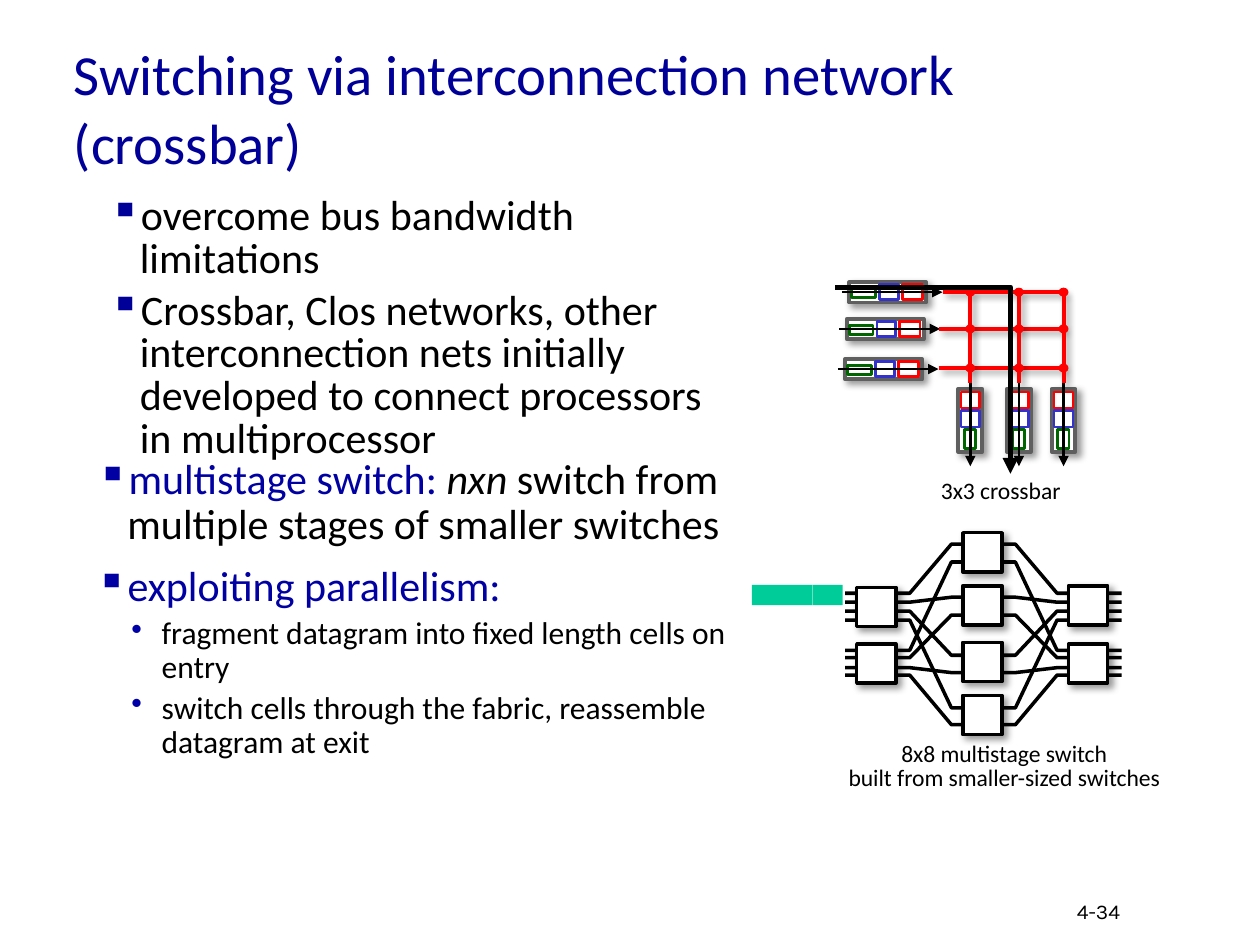
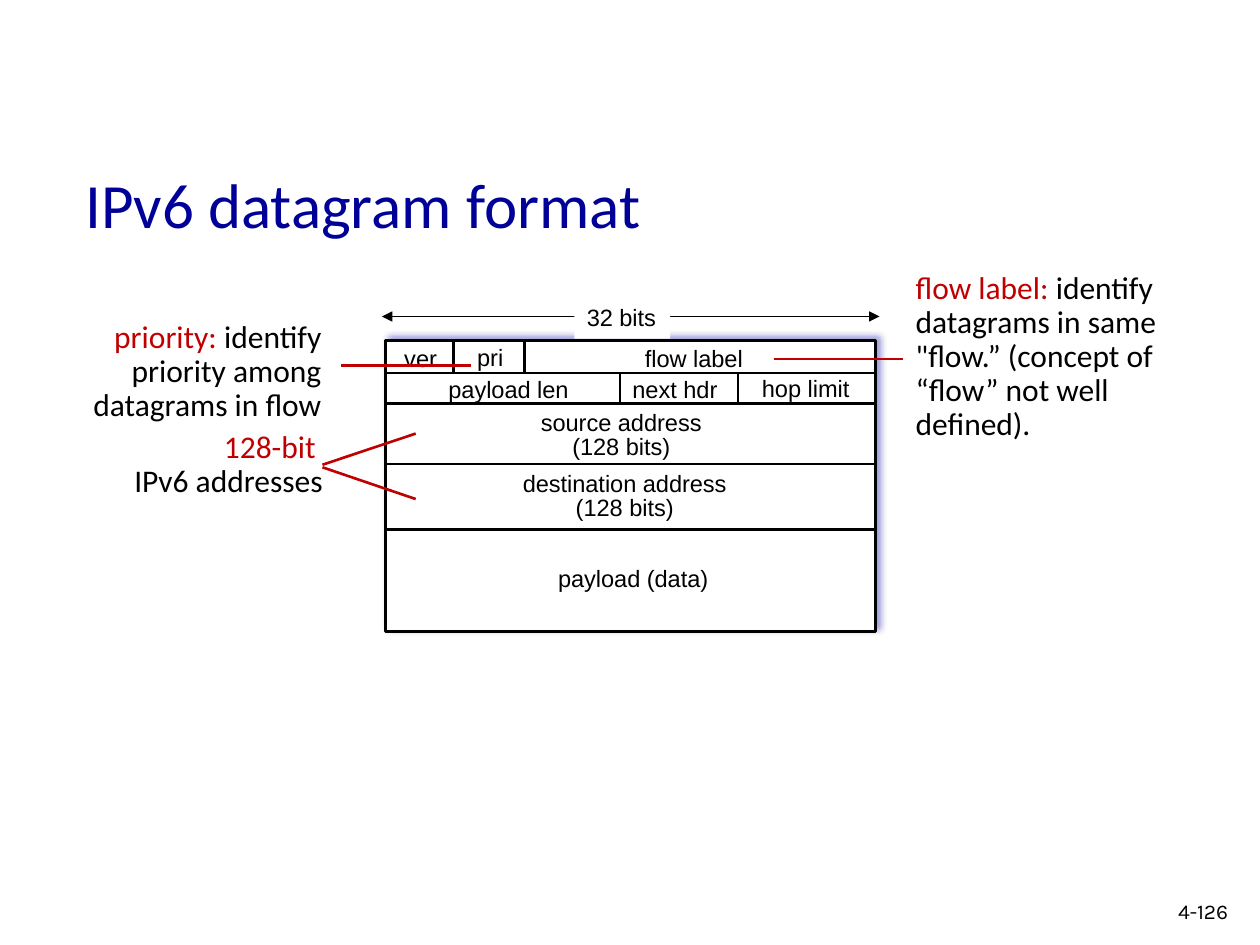
from dataclasses import dataclass

from lxml.etree import SubElement
from pptx import Presentation
from pptx.dml.color import RGBColor as Color
from pptx.enum.shapes import MSO_CONNECTOR as Connector, MSO_SHAPE as Preset
from pptx.enum.text import MSO_ANCHOR as Anchor, PP_ALIGN as Align
from pptx.oxml.ns import qn
from pptx.util import Cm, Pt


@dataclass(frozen=True)
class Theme:
    title: str = "000099"
    accent: str = "0000A3"
    sub_bullet: str = "0000A8"
    ink: str = "000000"
    paper: str = "FFFFFF"
    note: str = "C00000"
    queue: str = "5F5F5F"
    green: str = "006600"
    blue: str = "3333CC"
    red: str = "FF0000"
    cell: str = "00CC99"
    sans: str = "Calibri"
    label_face: str = "Arial"
    number_face: str = "Karla"
    long_title_size: float = 32.4
    title_size: float = 36
    body_size: float = 24
    note_size: float = 18
    label_size: float = 13.5
    number_size: float = 12


theme = Theme()


def write(slide, box, paragraphs, size, name=theme.sans, color=theme.ink,
          layout=None, bullet=None, wrap=True, **frame_format):
    shape = slide.shapes.add_textbox(*[Cm(value) for value in box])
    frame = shape.text_frame
    for key, value in {"word_wrap": wrap, **frame_format}.items():
        setattr(frame, key, value)
    for index, runs in enumerate(paragraphs):
        paragraph = frame.paragraphs[0] if index == 0 else frame.add_paragraph()
        mark = bullet[min(index, len(bullet) - 1)] if bullet else None
        if mark:
            character, mark_color, margin, level = mark
            paragraph.level = level
            properties = paragraph._p.get_or_add_pPr()
            properties.set("marL", str(Cm(margin)))
            properties.set("indent", str(-Cm(0.61)))
            tint = SubElement(properties, qn("a:buClr"))
            SubElement(tint, qn("a:srgbClr"), val=mark_color)
            SubElement(properties, qn("a:buChar"), char=character)
        for key, value in (layout or {}).items():
            if key != "space_before" or index > 0:
                setattr(paragraph, key, value)
        for text, *changes in [(runs,)] if isinstance(runs, str) else runs:
            if text == "\n":
                paragraph.add_line_break()
                continue
            run = paragraph.add_run()
            run.text = text
            font = {"size": size, "name": name, "color": color}
            font.update(changes[0] if changes else {})
            run.font.color.rgb = Color.from_string(font.pop("color"))
            font["size"] = Pt(font["size"])
            for key, value in font.items():
                setattr(run.font, key, value)
    return shape


def draw(slide, kind, geometry, line=None, width=1.5, fill=None, shadow=None, ends=()):
    values = [Cm(value) for value in geometry]
    if kind == "line":
        shape = slide.shapes.add_connector(Connector.STRAIGHT, *values)
    elif kind == "path":
        points = list(zip(values[::2], values[1::2]))
        builder = slide.shapes.build_freeform(*points[0], scale=1.0)
        builder.add_line_segments(points[1:], close=False)
        shape = builder.convert_to_shape()
    else:
        shape = slide.shapes.add_shape(kind, *values)
    if fill:
        shape.fill.solid()
        shape.fill.fore_color.rgb = Color.from_string(fill)
    elif kind != "line":
        shape.fill.background()
    if line:
        shape.line.color.rgb = Color.from_string(line)
        shape.line.width = Pt(width)
    else:
        shape.line.fill.background()
    properties = shape.element.spPr
    for end in ends:
        SubElement(properties.find(qn("a:ln")), qn(f"a:{end}"), type="triangle")
    effects = SubElement(properties, qn("a:effectLst"))
    if shadow:
        shadow_color, degrees = shadow
        outer = SubElement(effects, qn("a:outerShdw"), blurRad=str(Pt(4)),
                           dist=str(Pt(3)), dir=str(degrees * 60000), algn="tl",
                           rotWithShape="0")
        tint = SubElement(outer, qn("a:srgbClr"), val=shadow_color)
        SubElement(tint, qn("a:alpha"), val="40000")
    return shape


presentation = Presentation()
presentation.slide_width, presentation.slide_height = Cm(25.4), Cm(19.05)
blank = presentation.slide_layouts[6]
crossbar, datagram = [presentation.slides.add_slide(blank) for _ in range(2)]

slide_frames = [
    (crossbar, (1.24, 1.24, 21.89, 1.85), theme.long_title_size,
     [("Switching via interconnection network",), ("\n",), ("(crossbar)",)],
     (21.46, 17.98, 1.88, 0.76), "4-34"),
    (datagram, (1.47, 2.97, 21.89, 2.24), theme.title_size, "IPv6 datagram format",
     (23.5, 17.98, 1.9, 1.07), "4-126"),
]
for slide, title_box, title_size, title, number_box, number in slide_frames:
    write(slide, title_box, [title], title_size, color=theme.title,
          vertical_anchor=Anchor.MIDDLE)
    write(slide, number_box, [number], theme.number_size, theme.number_face)

soft = (theme.ink, 45)
tight = {"line_spacing": 0.85, "alignment": Align.CENTER}
accent = {"color": theme.accent}
insets = {"margin_left": Cm(0.18), "margin_right": Cm(0.18),
          "margin_top": Cm(0.1), "margin_bottom": Cm(0.1)}
square = ("▪", theme.accent, 0.74, 0)

write(crossbar, (1.6, 3.84, 13.49, 10.62), [
    "overcome bus bandwidth limitations",
    "Crossbar, Clos networks, other interconnection nets initially developed to "
    "connect processors in multiprocessor",
], theme.body_size, layout={"line_spacing": 0.85, "space_before": Pt(4.8)},
    bullet=[("▪", theme.title, 0.97, 0)])
write(crossbar, (1.65, 9.14, 13.49, 2.29), [
    [("multistage switch: ", accent), ("nxn", {"italic": True}),
     (" switch from multiple stages of smaller switches",)],
], theme.body_size, layout={"line_spacing": 0.9}, bullet=[square], **insets)
small = {"size": theme.note_size}
write(crossbar, (1.63, 11.3, 13.49, 4.42), [
    [("exploiting parallelism:", accent)],
    [("fragment datagram into fixed length cells on entry", small)],
    [("switch cells through the fabric, reassemble datagram at exit", small)],
], theme.body_size, layout={"line_spacing": 0.9, "space_before": Pt(3.8)},
    bullet=[square, ("•", theme.sub_bullet, 1.45, 1)], **insets)

input_parts = [
    (0, 0, 1.55, 0.41, theme.queue, 2.25, soft),
    (0.05, 0.13, 0.48, 0.18, theme.green, 1.5, None),
    (0.61, 0.05, 0.38, 0.3, theme.blue, 1.5, None),
    (1.07, 0.05, 0.41, 0.3, theme.red, 1.5, None),
]
output_parts = [
    (-0.24, 0, 0.48, 1.27, theme.queue, 2.25, soft),
    (-0.12, 0.82, 0.23, 0.38, theme.green, 1.5, None),
    (-0.19, 0.44, 0.38, 0.33, theme.blue, 1.5, None),
    (-0.19, 0.06, 0.38, 0.33, theme.red, 1.5, None),
]
inputs = [(17.12, 5.69), (17.07, 6.43), (17.04, 7.24)]
columns = [19.56, 20.54, 21.44]
rows = [5.89, 6.63, 7.42]
queues = [(x, y, input_parts, (x - 0.15, y + 0.2, x + 1.88, y + 0.2)) for x, y in inputs]
queues += [(x, 7.84, output_parts, (x, 7.72, x, 9.4)) for x in columns]
for left, top, parts, arrow in queues:
    for dx, dy, width, height, color, weight, shadow in parts:
        draw(crossbar, Preset.RECTANGLE, (left + dx, top + dy, width, height),
             color, weight, theme.paper, shadow)
    draw(crossbar, "line", arrow, theme.ink, ends=["tailEnd"])

grid_lines = [(start, y, columns[-1], y) for start, y in zip((19, 18.92, 18.92), rows)]
grid_lines += [(x, 7.72, x, rows[0]) for x in columns]
for grid_line in grid_lines:
    draw(crossbar, "line", grid_line, theme.red, 2.25, shadow=soft)
for x in columns:
    for y in rows:
        draw(crossbar, Preset.OVAL, (x - 0.1, y - 0.09, 0.2, 0.18), fill=theme.red)
draw(crossbar, "path", (16.84, 5.79, 20.37, 5.79, 20.37, 9.55), theme.ink, 3,
     ends=["tailEnd"])
write(crossbar, (18.69, 9.55, 2.97, 0.76), ["3x3 crossbar"], theme.label_size,
      layout=tight, wrap=False)

wire_x = [17.04, 18.34, 19.18, 20.47, 21.31, 22.61]
wires = [(11.96, 10.97), (12.14, 12.04), (12.32, 13.21), (12.5, 14.27),
         (13.11, 11.33), (13.26, 12.4), (13.46, 13.56), (13.61, 14.61)]
for outer_y, middle_y in wires:
    wire_y = [outer_y, outer_y, middle_y, middle_y, outer_y, outer_y]
    points = [value for point in zip(wire_x, wire_y) for value in point]
    draw(crossbar, "path", points, theme.ink, 2)
stages = {17.27: [11.84, 12.98], 19.41: [10.74, 11.81, 12.95, 14.02],
          21.54: [11.81, 12.98]}
for left, tops in stages.items():
    for top in tops:
        draw(crossbar, Preset.RECTANGLE, (left, top, 0.79, 0.79),
             theme.ink, 2, theme.paper, soft)
write(crossbar, (16.79, 14.86, 6.91, 1.24),
      ["8x8 multistage switch", "built from smaller-sized switches"],
      theme.label_size, layout=tight, wrap=False)
for index in range(3):
    draw(crossbar, Preset.RECTANGLE, (15.16 + 0.61 * index, 11.79, 0.61, 0.41),
         fill=theme.cell)

left, top, width, height = 7.77, 6.86, 9.88, 5.87
row_lines = [7.52, 8.13, 9.35, 10.67]
draw(datagram, Preset.RECTANGLE, (left, top, width, height), theme.ink, 1.5,
     theme.paper, (theme.accent, 315))
dividers = [(left, y, left + width, y) for y in row_lines]
dividers += [(x, top, x, row_lines[0]) for x in (9.14, 10.57)]
dividers += [(x, row_lines[0], x, row_lines[1]) for x in (12.5, 14.88)]
for divider in dividers:
    draw(datagram, "line", divider, theme.ink)
draw(datagram, "line", (7.7, 6.38, 17.73, 6.38), theme.ink, 0.75,
     ends=["headEnd", "tailEnd"])

fields = [
    ((7.9, 6.81, 1.17, 0.84), ["ver"]),
    ((9.37, 6.78, 1.04, 0.84), ["pri"]),
    ((12.75, 6.81, 2.51, 0.84), ["flow label"]),
    ((8.79, 7.44, 2.97, 0.84), ["payload len"]),
    ((12.5, 7.44, 2.26, 0.84), ["next hdr"]),
    ((15.11, 7.42, 2.31, 0.84), ["hop limit"]),
    ((10.62, 8.18, 3.81, 1.24), ["source address", "(128 bits)"]),
    ((10.26, 9.42, 4.67, 1.24), ["destination address", "(128 bits)"]),
    ((11, 11.25, 3.71, 0.84), ["payload (data)"]),
    ((11.58, 5.99, 1.93, 0.84), ["32 bits"]),
]
for box, lines in fields:
    label = write(datagram, box, lines, theme.label_size, theme.label_face,
                  layout=tight if len(lines) > 1 else None, wrap=False)
label.fill.solid()
label.fill.fore_color.rgb = Color.from_string(theme.paper)

red = {"color": theme.note}
notes = [
    ((0.33, 6.35, 6.4, 2.34), Align.RIGHT,
     [[("priority: ", red), ("identify priority among datagrams in flow",)]]),
    ((18.21, 5.36, 6.76, 3.02), Align.LEFT,
     [[("flow label: ", red),
       ("identify datagrams in same \"flow.” (concept of “flow” not well defined).",)]]),
    ((0, 8.56, 6.76, 1.65), Align.RIGHT, [[("128-bit ", red)], "IPv6 addresses"]),
]
for box, alignment, paragraphs in notes:
    write(datagram, box, paragraphs, theme.note_size,
          layout={"line_spacing": 0.9, "alignment": alignment})
pointers = [(6.88, 7.37, 9.5, 7.37), (15.6, 7.24, 18.21, 7.24),
            (6.5, 9.42, 8.38, 10.06), (6.5, 9.37, 8.38, 8.74)]
for pointer in pointers:
    draw(datagram, "line", pointer, theme.note)

presentation.save("out.pptx")
